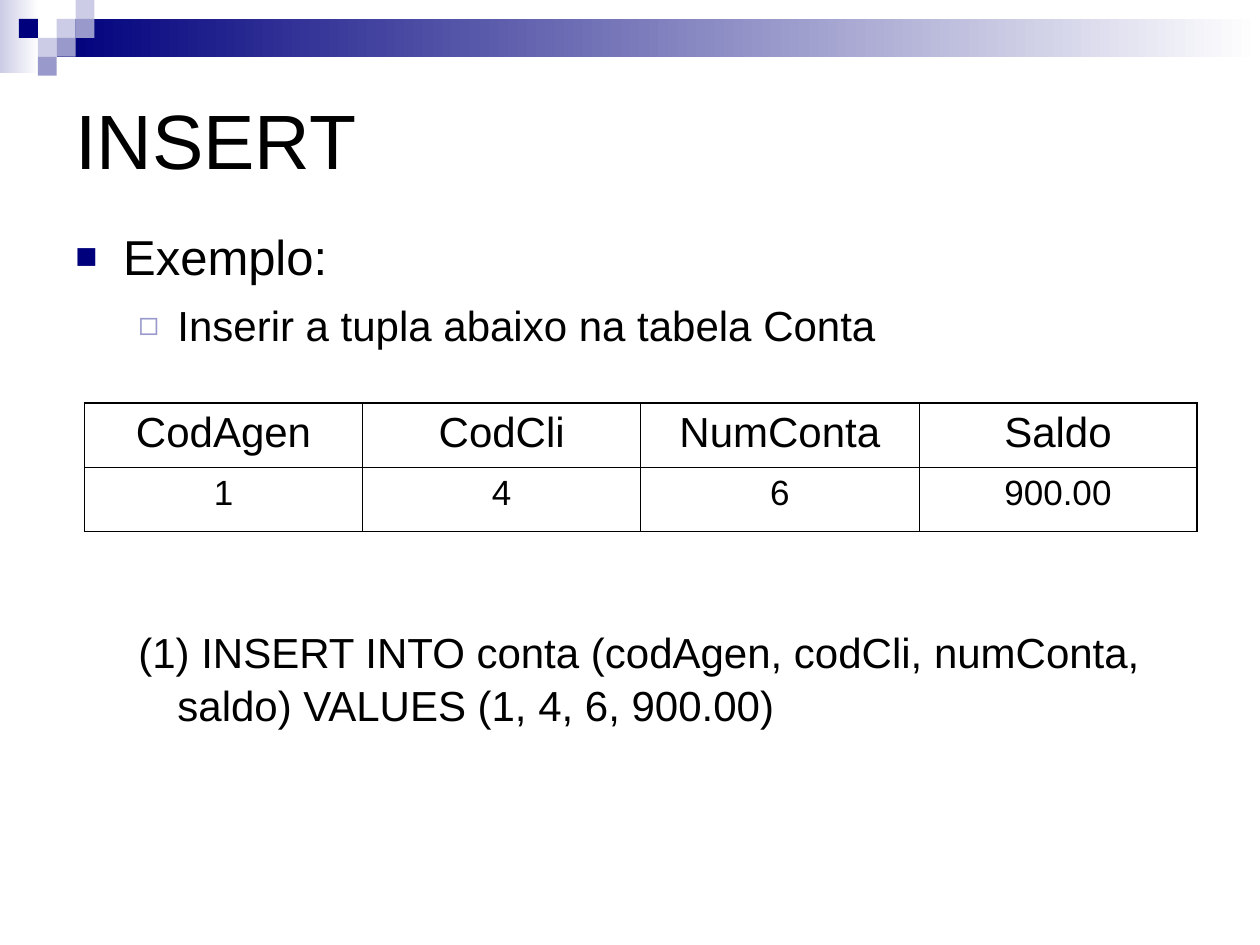
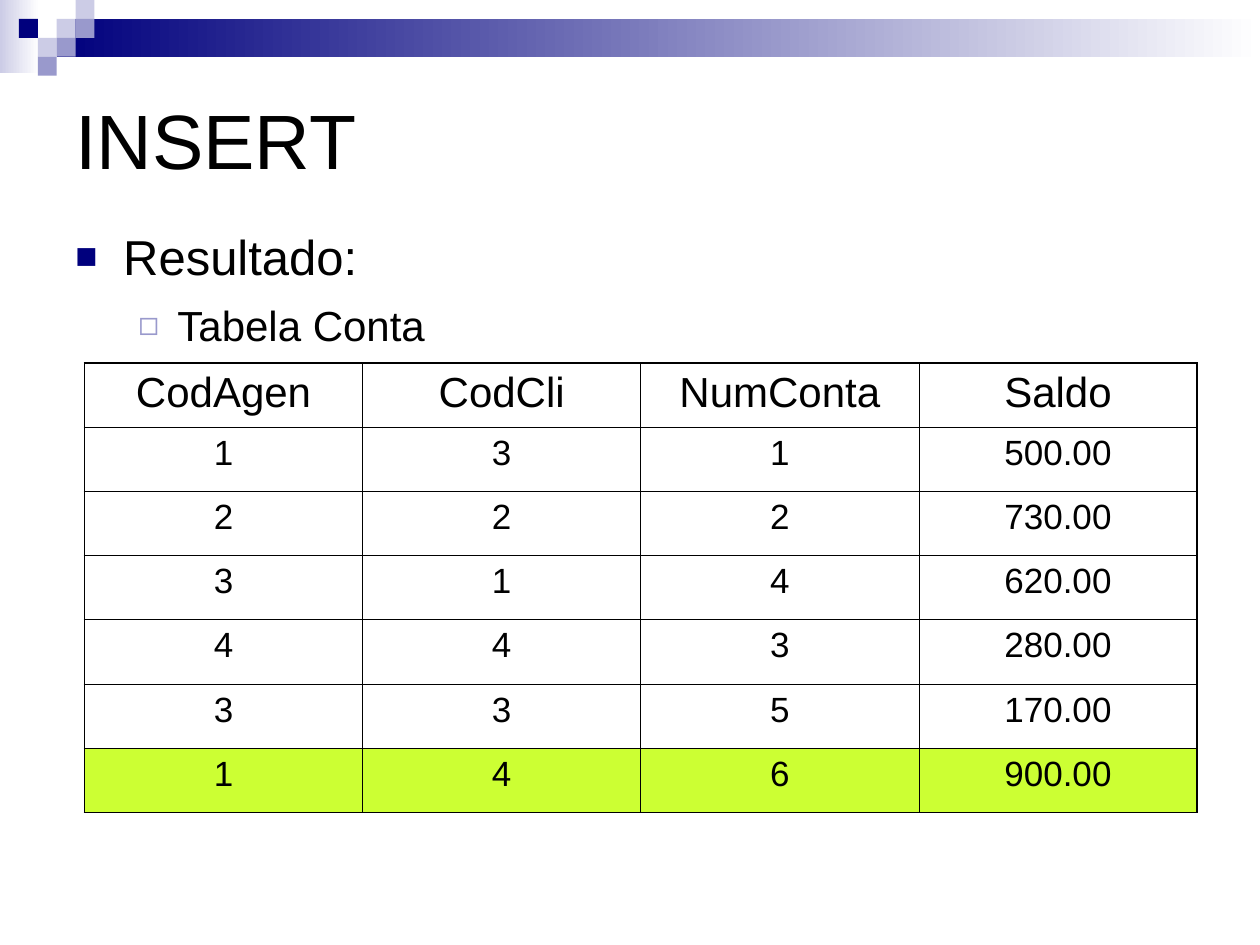
from collections import namedtuple
from dataclasses import dataclass

from lxml import etree
from pptx import Presentation
from pptx import util as u
from pptx.dml.color import RGBColor
from pptx.enum import shapes, text
from pptx.oxml import ns

Box = namedtuple("Box", "col row cols rows")


@dataclass(frozen=True)
class Theme:
    font: str = "Arial"
    ink: str = "000000"
    navy: str = "00007D"
    lilac: str = "9999CC"
    mist: str = "CCCCE6"
    paper: str = "FFFFFF"
    highlight: str = "CCFF33"
    title_size: int = 44
    topic_size: int = 28
    detail_size: int = 24
    value_size: int = 20
    outer_line: float = 1.08
    inner_line: float = 0.45


THEME = Theme()
CELL = 0.15  # inches per grid column and row
SLIDE_COLS, SLIDE_ROWS = 66.67, 50
TITLE = Box(3.33, 3.33, 60, 7.47)
BODY = Box(3.33, 11.33, 61.53, 37.27)
TABLE_COL, TABLE_COLS, TABLE_ROW_HEIGHT = 4.47, 58.87, 3.4
WASH = Box(0, 0, 2.07, 3.87)
BAND = Box(3, 1, 63.67, 2)
MOSAIC = [(3, 1, THEME.mist), (4, 0, THEME.mist), (4, 1, THEME.lilac),
          (2, 2, THEME.mist), (1, 1, THEME.navy), (3, 2, THEME.lilac),
          (2, 3, THEME.lilac)]

# Each level: type size, left margin, indent, space before, bullet (mark, colour, percent)
LEVELS = {
    "topic": (THEME.topic_size, 0.38, -0.38, 0, ("■", THEME.navy, 75)),
    "detail": (THEME.detail_size, 0.81, -0.31, 7, ("◻", THEME.lilac, 80)),
    "statement": (THEME.detail_size, 0.81, -0.31, 157, None),
}

HEADINGS = ["CodAgen", "CodCli", "NumConta", "Saldo"]
NEW_ACCOUNT = ["1", "4", "6", "900.00"]
OLD_ACCOUNTS = [
    ["1", "3", "1", "500.00"],
    ["2", "2", "2", "730.00"],
    ["3", "1", "4", "620.00"],
    ["4", "4", "3", "280.00"],
    ["3", "3", "5", "170.00"],
]


def grid(count):
    return u.Inches(count * CELL)


def place(box):
    return [grid(length) for length in box]


def apply(target, values):
    for name, value in values.items():
        setattr(target, name, value)


def add_element(parent, tag, **attributes):
    return etree.SubElement(parent, ns.qn(tag), attributes)


def style_font(paragraph, size):
    apply(paragraph.font, {"name": THEME.font, "size": u.Pt(size)})
    paragraph.font.color.rgb = RGBColor.from_string(THEME.ink)


def add_block(slide, box, *colours):
    """Rectangle in one colour, or fading from the first colour to the second."""
    block = slide.shapes.add_shape(shapes.MSO_SHAPE.RECTANGLE, *place(box))
    block.shadow.inherit = False
    block.line.fill.background()
    if len(colours) == 1:
        block.fill.solid()
        block.fill.fore_color.rgb = RGBColor.from_string(colours[0])
        return
    block.fill.gradient()
    block.fill.gradient_angle = 0
    for stop, colour in zip(block.fill.gradient_stops, colours):
        stop.color.rgb = RGBColor.from_string(colour)


def add_header(slide):
    add_block(slide, WASH, THEME.mist, THEME.paper)
    add_block(slide, BAND, THEME.navy, THEME.paper)
    for col, row, colour in MOSAIC:
        add_block(slide, Box(col, row, 1, 1), colour)


def add_text_frame(slide, box, **values):
    frame = slide.shapes.add_textbox(*place(box)).text_frame
    apply(frame, {"word_wrap": True, **values})
    return frame


def add_title(slide, box, words):
    frame = add_text_frame(slide, box, margin_top=u.Inches(0.13),
                           vertical_anchor=text.MSO_ANCHOR.MIDDLE)
    heading = frame.paragraphs[0]
    heading.text = words
    style_font(heading, THEME.title_size)


def set_indent(paragraph, margin, indent, bullet):
    properties = paragraph._p.get_or_add_pPr()
    properties.set("marL", str(u.Inches(margin)))
    properties.set("indent", str(u.Inches(indent)))
    if bullet is None:
        add_element(properties, "a:buNone")
        return
    mark, colour, percent = bullet
    add_element(add_element(properties, "a:buClr"), "a:srgbClr", val=colour)
    add_element(properties, "a:buSzPct", val=str(percent * 1000))
    add_element(properties, "a:buFont", typeface=THEME.font)
    add_element(properties, "a:buChar", char=mark)


def add_body(slide, box, lines):
    frame = add_text_frame(slide, box, margin_top=u.Inches(0.08))
    for index, (level, words) in enumerate(lines):
        size, margin, indent, space, bullet = LEVELS[level]
        line = frame.add_paragraph() if index else frame.paragraphs[0]
        line.text = words
        set_indent(line, margin, indent, bullet)
        line.line_spacing = 1.04
        if space:
            line.space_before = u.Pt(space)
        style_font(line, size)


def set_borders(cell, outer_edges):
    properties = cell._tc.get_or_add_tcPr()
    for edge, is_outer in outer_edges.items():
        width = THEME.outer_line if is_outer else THEME.inner_line
        line = add_element(properties, f"a:ln{edge}", w=str(u.Pt(width)))
        add_element(add_element(line, "a:solidFill"), "a:srgbClr", val=THEME.ink)


def add_accounts(slide, top, accounts, highlighted=None):
    rows = [HEADINGS, *accounts]
    box = Box(TABLE_COL, top, TABLE_COLS, TABLE_ROW_HEIGHT * len(rows))
    table = slide.shapes.add_table(len(rows), len(HEADINGS), *place(box)).table
    apply(table, {"first_row": False, "horz_banding": False})
    last_row, last_col = len(rows) - 1, len(HEADINGS) - 1
    for r, values in enumerate(rows):
        for c, value in enumerate(values):
            cell = table.cell(r, c)
            set_borders(cell, {"L": c == 0, "R": c == last_col,
                               "T": r == 0, "B": r == last_row})
            if values is highlighted:
                cell.fill.solid()
                cell.fill.fore_color.rgb = RGBColor.from_string(THEME.highlight)
            else:
                cell.fill.background()
            entry = cell.text_frame.paragraphs[0]
            entry.text = value
            entry.alignment = text.PP_ALIGN.CENTER
            style_font(entry, THEME.value_size if r else THEME.detail_size)


def add_insert_slide(deck, lines, table_top, accounts, highlighted=None):
    slide = deck.slides.add_slide(deck.slide_layouts[6])
    add_header(slide)
    add_title(slide, TITLE, "INSERT")
    add_body(slide, BODY, lines)
    add_accounts(slide, table_top, accounts, highlighted)


def main():
    deck = Presentation()
    apply(deck, {"slide_width": u.Inches(10), "slide_height": grid(SLIDE_ROWS)})
    add_insert_slide(deck, [
        ("topic", "Exemplo:"),
        ("detail", "Inserir a tupla abaixo na tabela Conta"),
        ("statement", "(1) INSERT INTO conta (codAgen, codCli, numConta, saldo) "
                      "VALUES (1, 4, 6, 900.00)"),
    ], 21.33, [NEW_ACCOUNT])
    add_insert_slide(deck, [
        ("topic", "Resultado:"),
        ("detail", "Tabela Conta"),
    ], 19.2, [*OLD_ACCOUNTS, NEW_ACCOUNT], highlighted=NEW_ACCOUNT)
    deck.save("out.pptx")


if __name__ == "__main__":
    main()
